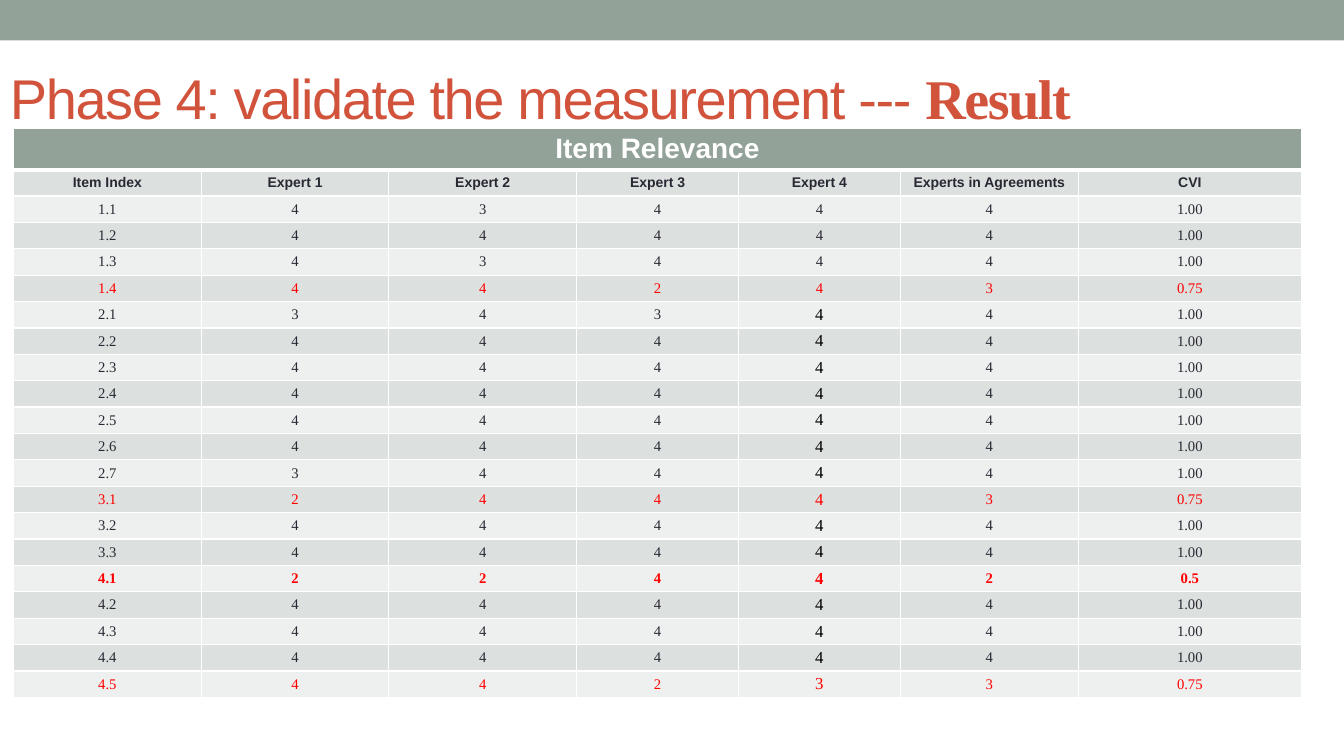
import pptx
import pptx.dml.color
import pptx.enum.shapes
import pptx.enum.text
import pptx.oxml
import pptx.oxml.ns
import pptx.util

Cm, Pt = pptx.util.Cm, pptx.util.Pt

TITLE = "Phase 4: validate the measurement --- "
TITLE_END = "Result"
TABLE_TITLE = "Item Relevance"
HEADERS = ["Item Index", "Expert 1", "Expert 2", "Expert 3", "Expert 4",
           "Experts in Agreements", "CVI"]
# item, ratings of experts 1 to 4, experts in agreement, CVI
ITEMS = [
    ("1.1", 4, 3, 4, 4, 4, "1.00"),
    ("1.2", 4, 4, 4, 4, 4, "1.00"),
    ("1.3", 4, 3, 4, 4, 4, "1.00"),
    ("1.4", 4, 4, 2, 4, 3, "0.75"),
    ("2.1", 3, 4, 3, 4, 4, "1.00"),
    ("2.2", 4, 4, 4, 4, 4, "1.00"),
    ("2.3", 4, 4, 4, 4, 4, "1.00"),
    ("2.4", 4, 4, 4, 4, 4, "1.00"),
    ("2.5", 4, 4, 4, 4, 4, "1.00"),
    ("2.6", 4, 4, 4, 4, 4, "1.00"),
    ("2.7", 3, 4, 4, 4, 4, "1.00"),
    ("3.1", 2, 4, 4, 4, 3, "0.75"),
    ("3.2", 4, 4, 4, 4, 4, "1.00"),
    ("3.3", 4, 4, 4, 4, 4, "1.00"),
    ("4.1", 2, 2, 4, 4, 2, "0.5"),
    ("4.2", 4, 4, 4, 4, 4, "1.00"),
    ("4.3", 4, 4, 4, 4, 4, "1.00"),
    ("4.4", 4, 4, 4, 4, 4, "1.00"),
    ("4.5", 4, 4, 2, 3, 3, "0.75"),
]
THEME = {
    "sans": "Arial", "serif": "Times New Roman",
    "title": "D2533C", "accent": "93A299", "text": "292934",
    "black": "000000", "alert": "FF0000", "white": "FFFFFF",
    "bands": ("DCE0DE", "EEF0EF"),
    "title_size": 40, "table_title_size": 20, "header_size": 10,
    "item_size": 10.5, "expert4_size": 12, "rule": 1, "thick_rule": 3,
}
SLIDE_W, SLIDE_H = 33.87, 19.05
BAR_H = 1.02
TITLE_BOX = (0, 1.07, 30.48, 2.74)
TABLE_X, TABLE_Y = 0.34, 3.23
COLUMN_WIDTHS = [4.73, 4.73, 4.73, 4.08, 4.08, 4.48, 5.63]
TABLE_TITLE_H, HEADER_H, ITEMS_H = 1.02, 0.66, 12.65
EXPERT_4 = HEADERS.index("Expert 4")


def rgb(color):
    return pptx.dml.color.RGBColor.from_string(color)


def style_run(r, font, size, color, bold=False):
    r.font.name, r.font.size, r.font.bold = font, Pt(size), bold
    r.font.color.rgb = rgb(color)


def set_borders(cell, top, bottom):
    """Draw white cell edges; top and bottom are widths in points."""
    tc_pr = cell._tc.get_or_add_tcPr()
    widths = {"lnL": THEME["rule"], "lnR": THEME["rule"], "lnT": top, "lnB": bottom}
    for i, (tag, width) in enumerate(widths.items()):
        tc_pr.insert(i, pptx.oxml.parse_xml(
            f'<a:{tag} {pptx.oxml.ns.nsdecls("a")} w="{Pt(width)}"><a:solidFill>'
            f'<a:srgbClr val="{THEME["white"]}"/></a:solidFill></a:{tag}>'))


def fill_cell(cell, text, fill, font, size, color, bold=False, margin=0.0):
    cell.fill.solid()
    cell.fill.fore_color.rgb = rgb(fill)
    cell.margin_top = cell.margin_bottom = Cm(margin)
    cell.vertical_anchor = pptx.enum.text.MSO_ANCHOR.MIDDLE
    p = cell.text_frame.paragraphs[0]
    p.text = text
    p.alignment = pptx.enum.text.PP_ALIGN.CENTER
    for r in p.runs:
        style_run(r, font, size, color, bold)


def item_style(item, column):
    """Return size, colour and weight: items without full agreement stand out."""
    cvi = float(item[-1])
    late_expert4 = column == EXPERT_4 and float(item[0]) > 2
    size = THEME["expert4_size" if late_expert4 else "item_size"]
    color = "alert" if cvi < 1 else "black" if late_expert4 else "text"
    return size, THEME[color], cvi < 0.75


def add_title(slide):
    bar = slide.shapes.add_shape(pptx.enum.shapes.MSO_SHAPE.RECTANGLE,
                                 0, 0, Cm(SLIDE_W), Cm(BAR_H))
    bar.shadow.inherit = False
    bar.fill.solid()
    bar.fill.fore_color.rgb = rgb(THEME["accent"])
    bar.line.fill.background()

    tf = slide.shapes.add_textbox(*map(Cm, TITLE_BOX)).text_frame
    tf.word_wrap = True
    tf.vertical_anchor = pptx.enum.text.MSO_ANCHOR.MIDDLE
    p = tf.paragraphs[0]
    for text, font, bold in ((TITLE, THEME["sans"], False),
                             (TITLE_END, THEME["serif"], True)):
        r = p.add_run()
        r.text = text
        style_run(r, font, THEME["title_size"], THEME["title"], bold)
        r.font._element.set("spc", "-100")


def add_ratings_table(slide):
    heights = [TABLE_TITLE_H, HEADER_H] + [ITEMS_H / len(ITEMS)] * len(ITEMS)
    table = slide.shapes.add_table(
        len(heights), len(HEADERS), Cm(TABLE_X), Cm(TABLE_Y),
        Cm(sum(COLUMN_WIDTHS)), Cm(sum(heights))).table
    for column, width in zip(table.columns, COLUMN_WIDTHS):
        column.width = Cm(width)
    for row, height in zip(table.rows, heights):
        row.height = Cm(height)

    table.cell(0, 0).merge(table.cell(0, len(HEADERS) - 1))
    for c, header in enumerate(HEADERS):
        fill_cell(table.cell(0, c), "" if c else TABLE_TITLE, THEME["accent"],
                  THEME["sans"], THEME["table_title_size"], THEME["white"], True, 0.1)
        fill_cell(table.cell(1, c), header, THEME["bands"][0],
                  THEME["sans"], THEME["header_size"], THEME["text"], True)
    for i, item in enumerate(ITEMS, start=1):
        for c, value in enumerate(item):
            fill_cell(table.cell(i + 1, c), str(value), THEME["bands"][i % 2],
                      THEME["serif"], *item_style(item, c))

    thin, thick = THEME["rule"], THEME["thick_rule"]
    for i, row in enumerate(table.rows):
        for cell in row.cells:
            set_borders(cell, thick if i == 1 else thin, thick if i == 0 else thin)


def main():
    prs = pptx.Presentation()
    prs.slide_width, prs.slide_height = Cm(SLIDE_W), Cm(SLIDE_H)
    s = prs.slides.add_slide(prs.slide_layouts[6])
    add_title(s)
    add_ratings_table(s)
    prs.save("out.pptx")


if __name__ == "__main__":
    main()
